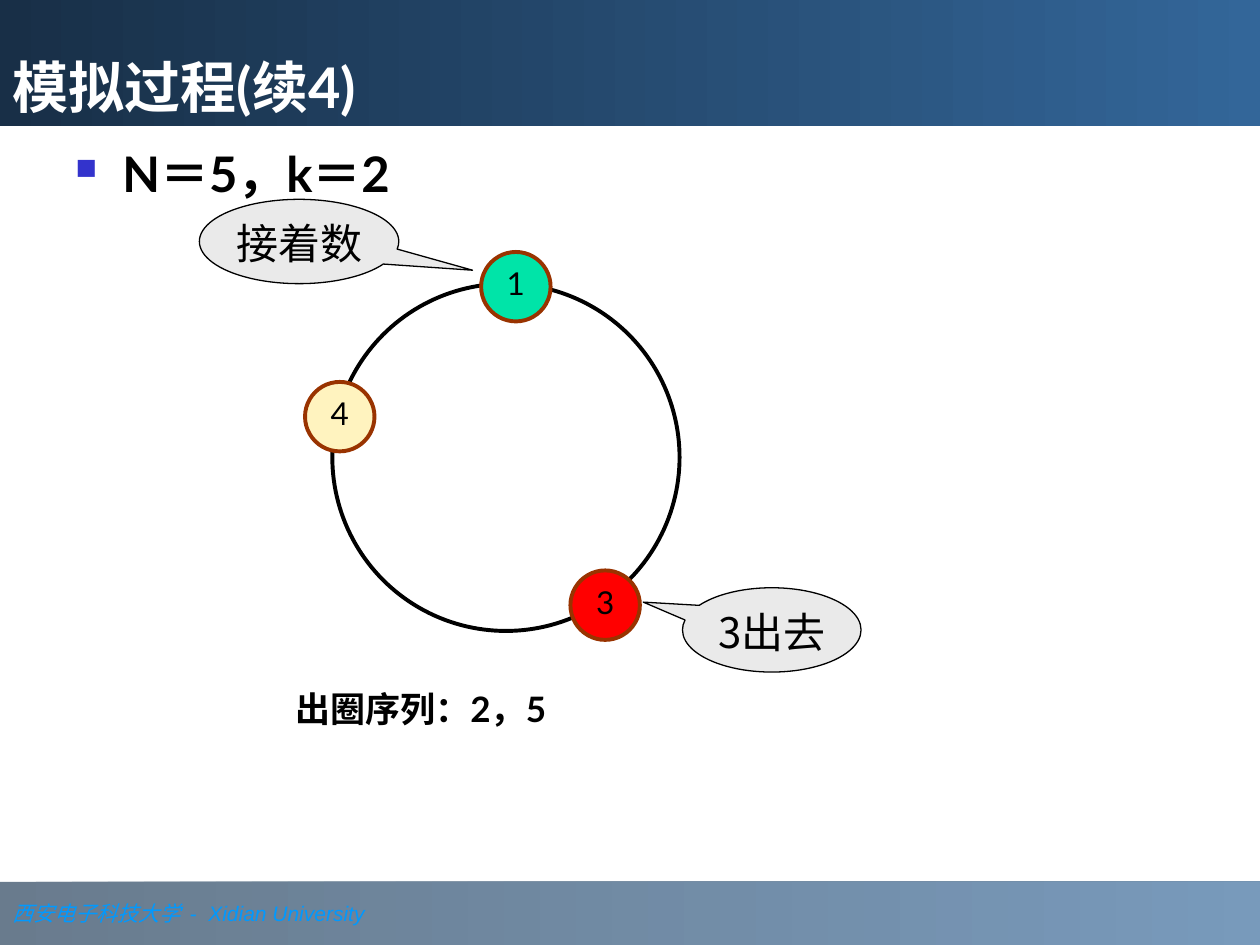
from dataclasses import dataclass

from lxml.etree import SubElement
from pptx import Presentation
from pptx.dml.color import RGBColor
from pptx.enum.shapes import MSO_SHAPE as Preset
from pptx.enum.text import MSO_ANCHOR as Anchor, MSO_AUTO_SIZE as AutoSize, PP_ALIGN as Align
from pptx.oxml.ns import qn
from pptx.util import Cm, Pt


@dataclass(frozen=True)
class Theme:
    # Colours
    black: str = "000000"
    white: str = "FFFFFF"
    title_dark: str = "182F47"
    footer_dark: str = "1C3853"
    band_light: str = "336699"
    footer_text: str = "0099FF"
    bullet: str = "3333CC"
    node_line: str = "993300"
    waiting: str = "FFF3BF"
    counting: str = "00E4A8"
    leaving: str = "FF0000"
    callout: str = "EAEAEA"
    # Fonts and type sizes
    latin: str = "Lato"
    cjk: str = "Noto Sans CJK SC"
    title_size: int = 32
    body_size: int = 28
    callout_size: int = 24
    caption_size: int = 20
    node_size: int = 18
    footer_size: int = 12


def write(frame, text, *, size, color, font, cjk, bold=False, italic=False,
          align=Align.LEFT, spacing=None):
    """Add a run to the first paragraph of a text frame."""
    paragraph = frame.paragraphs[0]
    paragraph.alignment = align
    paragraph.space_before = Pt(0)
    if spacing:
        paragraph.line_spacing = spacing
    run = paragraph.add_run()
    run.text = text
    run.font.size = Pt(size)
    run.font.name = font
    run.font.bold = bold
    run.font.italic = italic
    run.font.color.rgb = RGBColor.from_string(color)
    SubElement(run.font._element, qn("a:ea"), typeface=cjk)


class SlideBuilder:
    def __init__(self, slide, theme):
        self.slide = slide
        self.theme = theme

    def shape(self, preset, box, fill=None, line=None, line_width=0.75):
        item = self.slide.shapes.add_shape(preset, *map(Cm, box))
        item.shadow.inherit = False
        if fill:
            item.fill.solid()
            item.fill.fore_color.rgb = RGBColor.from_string(fill)
        else:
            item.fill.background()
        if line:
            item.line.color.rgb = RGBColor.from_string(line)
            item.line.width = Pt(line_width)
        else:
            item.line.fill.background()
        return item

    def band(self, box, dark, anchor, opacity=None):
        band = self.shape(Preset.RECTANGLE, box)
        band.fill.gradient()
        band.fill.gradient_angle = 0
        for stop, color in zip(band.fill.gradient_stops, (dark, self.theme.band_light)):
            stop.color.rgb = RGBColor.from_string(color)
        if opacity:
            for rgb in band._element.spPr.iter(qn("a:srgbClr")):
                SubElement(rgb, qn("a:alpha"), val=str(opacity * 1000))
        band.text_frame.vertical_anchor = anchor
        return band.text_frame

    def text(self, box, text, size, spacing=None):
        frame = self.slide.shapes.add_textbox(*map(Cm, box)).text_frame
        frame.word_wrap = True
        write(frame, text, size=size, color=self.theme.black, font=self.theme.latin,
              cjk=self.theme.cjk, bold=True, spacing=spacing)
        return frame

    def bullet(self, box, text, size):
        frame = self.text(box, text, size)
        properties = frame.paragraphs[0]._p.get_or_add_pPr()
        properties.set("marL", str(Cm(0.95)))
        properties.set("indent", str(Cm(-0.95)))
        color = SubElement(properties, qn("a:buClr"))
        SubElement(color, qn("a:srgbClr"), val=self.theme.bullet)
        SubElement(properties, qn("a:buSzPct"), val="60000")
        SubElement(properties, qn("a:buChar"), char="■")

    def node(self, left, top, number, fill):
        node = self.shape(Preset.OVAL, (left, top, 1.4, 1.4), fill, self.theme.node_line, 2.25)
        frame = node.text_frame
        frame.word_wrap = False
        frame.vertical_anchor = Anchor.MIDDLE
        write(frame, number, size=self.theme.node_size, color=self.theme.black,
              font=self.theme.latin, cjk=self.theme.cjk, align=Align.CENTER, spacing=0.8)

    def callout(self, box, text, tip):
        callout = self.shape(Preset.OVAL_CALLOUT, box, self.theme.callout, self.theme.black)
        callout.adjustments[0], callout.adjustments[1] = tip
        frame = callout.text_frame
        frame.word_wrap = True
        frame.vertical_anchor = Anchor.TOP
        frame.margin_left = frame.margin_right = Cm(0)
        write(frame, text, size=self.theme.callout_size, color=self.theme.black,
              font=self.theme.cjk, cjk=self.theme.cjk, align=Align.CENTER)


def main():
    theme = Theme()
    deck = Presentation()
    deck.slide_width, deck.slide_height = Cm(25.4), Cm(19.05)
    page = SlideBuilder(deck.slides.add_slide(deck.slide_layouts[6]), theme)

    # Footer
    footer = page.band((0, 17.78, 25.4, 1.27), theme.footer_dark, Anchor.MIDDLE, opacity=66)
    footer.word_wrap = False
    for words, font in (("西安电子科技大学  ", "Times New Roman"),
                        ("-  Xidian University", "Arial")):
        write(footer, words, size=theme.footer_size, color=theme.footer_text, font=font,
              cjk=theme.cjk, italic=True)

    # Title and parameters
    title = page.band((0, 0, 25.4, 2.54), theme.title_dark, Anchor.BOTTOM)
    write(title, "模拟过程(续4)", size=theme.title_size, color=theme.white,
          font=theme.latin, cjk=theme.cjk, bold=True)
    page.bullet((1.27, 2.77, 22.86, 2.34), "N＝5，k＝2", theme.body_size)

    # Circle of people still counting
    page.shape(Preset.OVAL, (6.7, 5.72, 7, 7), line=theme.black, line_width=2.25)
    for left, top, number, fill in ((6.15, 7.7, "4", theme.waiting),
                                    (9.7, 5.08, "1", theme.counting),
                                    (11.5, 11.5, "3", theme.leaving)):
        page.node(left, top, number, fill)

    # Remarks on the current step
    page.callout((4.02, 4.02, 4.02, 1.7), "接着数", (0.87, 0.34))
    page.callout((13.76, 11.85, 3.6, 1.7), "3出去", (-0.72, -0.33))

    # Order of leaving
    order = page.text((5.7, 13.9, 9.2, 0.95), "出圈序列：2，5", theme.caption_size, spacing=0.8)
    order.auto_size = AutoSize.SHAPE_TO_FIT_TEXT

    deck.save("out.pptx")


if __name__ == "__main__":
    main()
